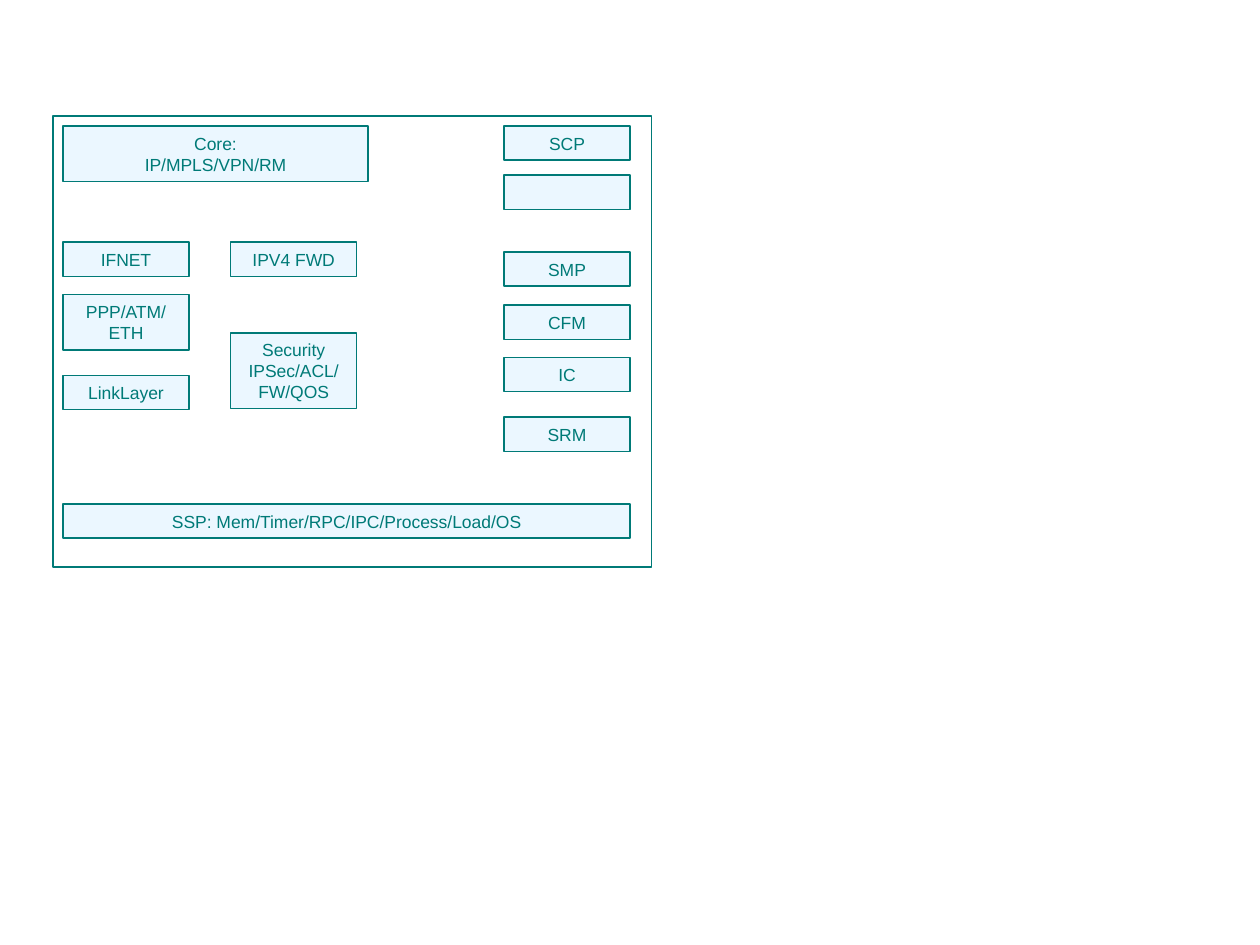
from pptx import Presentation
from pptx.dml.color import RGBColor
from pptx.enum.shapes import MSO_SHAPE
from pptx.enum.text import MSO_ANCHOR, MSO_AUTO_SIZE, PP_ALIGN
from pptx.util import Cm, Pt

TEAL = RGBColor(0x00, 0x7A, 0x77)
PALE_BLUE = RGBColor(0xEB, 0xF7, 0xFF)

LINK_LEFT, FORWARD_LEFT, SERVICE_LEFT = 1.27, 4.65, 10.16
MODULE_WIDTH, CORE_WIDTH, SSP_WIDTH = 2.54, 6.15, 11.43
HEIGHT_BY_LINES = {1: 0.69, 2: 1.12, 3: 1.52}

SYSTEM_FRAME = (1.07, 2.34, 12.06, 9.09)

# left, width, [(text, top, lines)]
COLUMNS = [
    (LINK_LEFT, CORE_WIDTH, [("Core:\nIP/MPLS/VPN/RM", 2.54, 2)]),
    (SERVICE_LEFT, MODULE_WIDTH, [
        ("SCP", 2.54, 1),
        ("", 3.53, 1),
        ("SMP", 5.08, 1),
        ("CFM", 6.15, 1),
        ("IC", 7.21, 1),
        ("SRM", 8.41, 1),
    ]),
    (LINK_LEFT, MODULE_WIDTH, [
        ("IFNET", 4.88, 1),
        ("PPP/ATM/ETH", 5.94, 2),
        ("LinkLayer", 7.57, 1),
    ]),
    (FORWARD_LEFT, MODULE_WIDTH, [
        ("IPV4 FWD", 4.88, 1),
        ("Security\nIPSec/ACL/FW/QOS", 6.71, 3),
    ]),
    (LINK_LEFT, SSP_WIDTH, [("SSP: Mem/Timer/RPC/IPC/Process/Load/OS", 10.16, 1)]),
]


def add_box(slide, left, top, width, height):
    box = slide.shapes.add_shape(
        MSO_SHAPE.RECTANGLE, Cm(left), Cm(top), Cm(width), Cm(height))
    box.shadow.inherit = False
    box.line.color.rgb = TEAL
    box.line.width = Pt(0.75)
    return box


def write_label(box, text):
    label = box.text_frame
    label.text = text
    label.word_wrap = True
    label.auto_size = MSO_AUTO_SIZE.SHAPE_TO_FIT_TEXT
    label.vertical_anchor = MSO_ANCHOR.MIDDLE
    for paragraph in label.paragraphs:
        paragraph.alignment = PP_ALIGN.CENTER
        for run in paragraph.runs:
            run.font.name = "Arial"
            run.font.size = Pt(10)
            run.font.color.rgb = TEAL


def main():
    presentation = Presentation()
    presentation.slide_width = Cm(25.4)
    presentation.slide_height = Cm(19.05)
    slide = presentation.slides.add_slide(presentation.slide_layouts[6])

    add_box(slide, *SYSTEM_FRAME).fill.background()
    for left, width, modules in COLUMNS:
        for text, top, lines in modules:
            module = add_box(slide, left, top, width, HEIGHT_BY_LINES[lines])
            module.fill.solid()
            module.fill.fore_color.rgb = PALE_BLUE
            if text:
                write_label(module, text)

    presentation.save("out.pptx")


if __name__ == "__main__":
    main()
